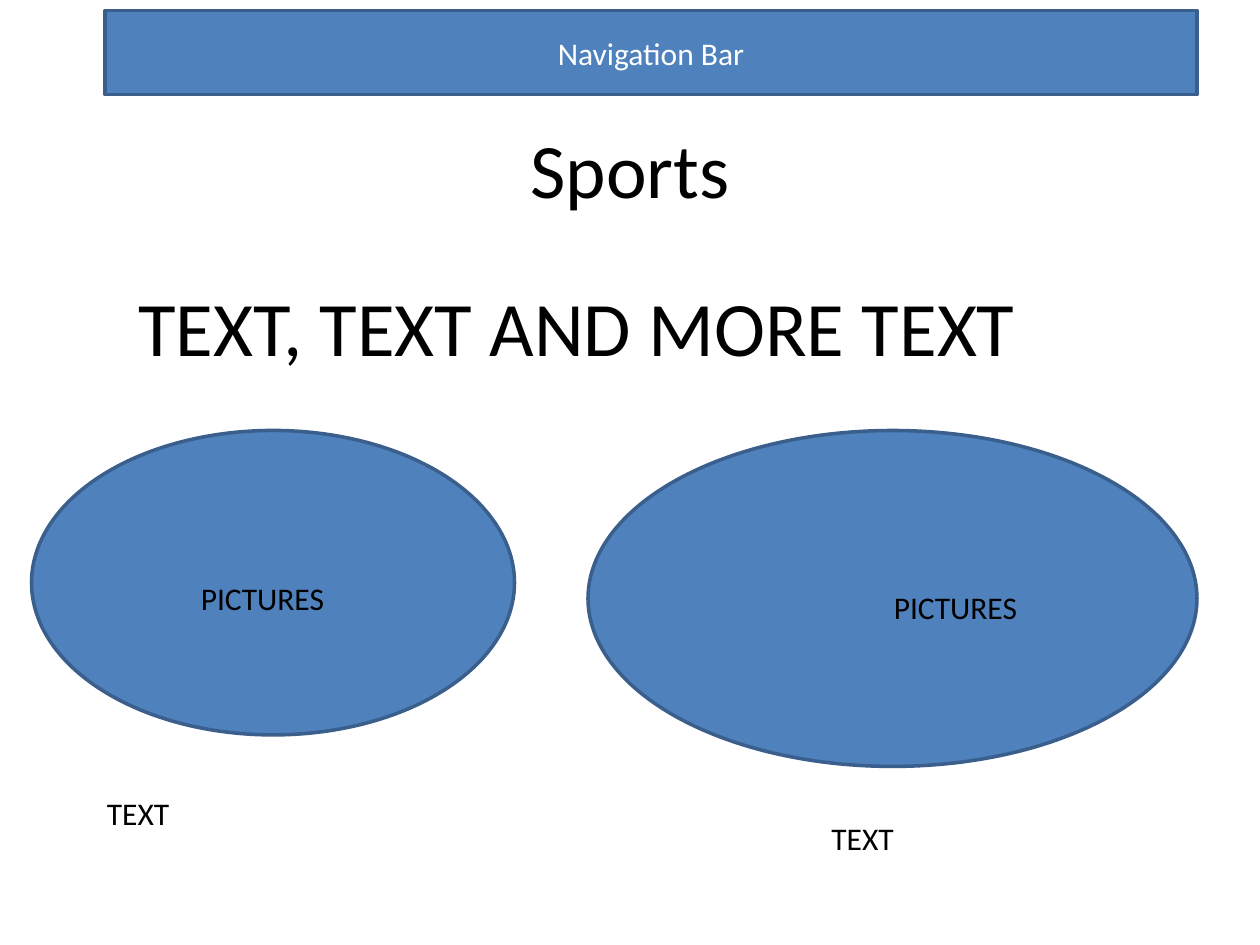
from pptx import Presentation
from pptx.dml.color import RGBColor
from pptx.enum.shapes import MSO_SHAPE as Shape
from pptx.enum.text import MSO_ANCHOR as Anchor, MSO_AUTO_SIZE as AutoSize, PP_ALIGN as Align
from pptx.util import Emu, Pt

PX = 7620  # 120 px to the inch
BLUE = RGBColor(0x4F, 0x81, 0xBD)
DARK_BLUE = RGBColor(0x3A, 0x5F, 0x8C)
BLACK = RGBColor(0, 0, 0)
WHITE = RGBColor(255, 255, 255)
HEADING_HEIGHT, LABEL_HEIGHT = 101, 48


def px(*lengths):
    return [Emu(length * PX) for length in lengths]


def set_attributes(target, values):
    for name, value in values.items():
        setattr(target, name, value)


def write(shape, text, size, color=BLACK, align=Align.LEFT):
    shape.text_frame.text = text
    paragraph = shape.text_frame.paragraphs[0]
    paragraph.alignment = align
    set_attributes(paragraph.runs[0].font, {"name": "Calibri", "size": Pt(size)})
    paragraph.runs[0].font.color.rgb = color


def format_text_frame(shape):
    set_attributes(shape.text_frame, {
        "word_wrap": True,
        "auto_size": AutoSize.SHAPE_TO_FIT_TEXT,
        "vertical_anchor": Anchor.TOP,
    })


def add_title(slide, text, box):
    title = slide.shapes.title
    set_attributes(title, dict(zip(("left", "top", "width", "height"), px(*box))))
    format_text_frame(title)
    write(title, text, 44, align=Align.CENTER)


def add_text(slide, text, box, size=18, align=Align.LEFT):
    text_box = slide.shapes.add_textbox(*px(*box))
    format_text_frame(text_box)
    write(text_box, text, size, align=align)


def add_block(slide, kind, box):
    block = slide.shapes.add_shape(kind, *px(*box))
    block.shadow.inherit = False
    block.fill.solid()
    block.fill.fore_color.rgb = BLUE
    block.line.color.rgb = DARK_BLUE
    block.line.width = Pt(2)
    return block


def main():
    presentation = Presentation()
    set_attributes(presentation, dict(zip(("slide_width", "slide_height"), px(1200, 900))))
    slide = presentation.slides.add_slide(presentation.slide_layouts[5])

    # Navigation bar
    navigation_bar = add_block(slide, Shape.RECTANGLE, (100, 10, 1040, 80))
    navigation_bar.text_frame.vertical_anchor = Anchor.MIDDLE
    write(navigation_bar, "Navigation Bar", 18, WHITE, Align.CENTER)

    # Headings
    add_title(slide, "Sports", (290, 110, 620, HEADING_HEIGHT))
    add_text(slide, "TEXT, TEXT AND MORE TEXT", (120, 260, 1000, HEADING_HEIGHT), 44)

    # Picture areas
    for box in ((30, 410, 460, 290), (560, 410, 580, 320)):
        add_block(slide, Shape.OVAL, box)

    # Captions below the picture areas
    for left, top, width in ((90, 750, 270), (780, 774, 290)):
        add_text(slide, "TEXT", (left, top, width, LABEL_HEIGHT))

    # Labels on the picture areas
    for left, top in ((50, 546), (710, 554)):
        add_text(slide, "PICTURES", (left, top, 400, LABEL_HEIGHT), align=Align.CENTER)

    presentation.save("out.pptx")


if __name__ == "__main__":
    main()
